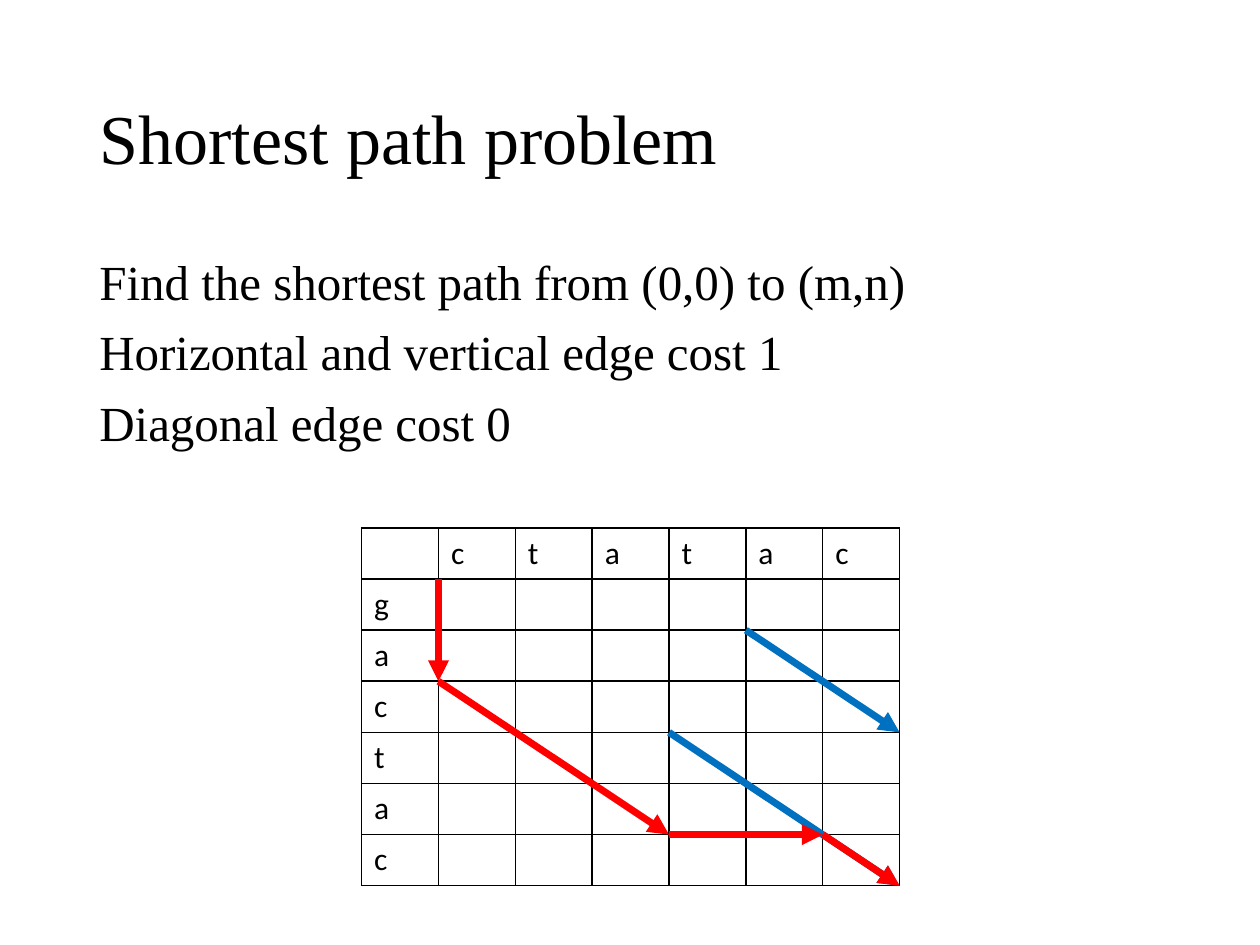
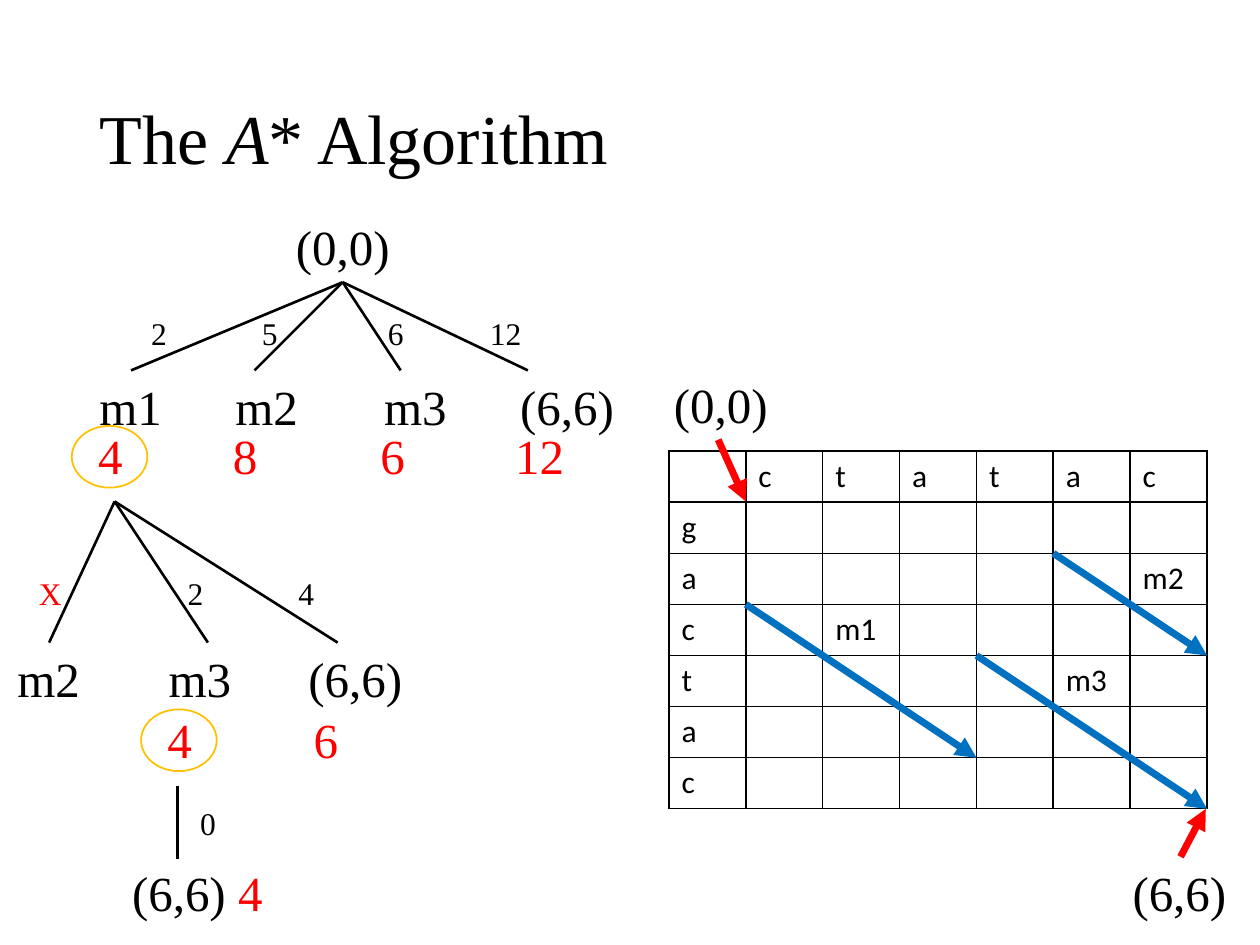
from lxml import etree
from pptx import Presentation
from pptx import util as u
from pptx.dml.color import RGBColor
from pptx.enum import shapes, text
from pptx.oxml import ns

COLORS = {"black": "000000", "white": "FFFFFF", "red": "FF0000",
          "blue": "0070C0", "orange": "FFC000"}
SERIF, SANS = "Times New Roman", "Calibri"
PX = 9144  # EMU in one px, 100 px to the inch

# Alignment grid, shared by both slides
ACROSS, DOWN = "ctatac", "gactac"
GRID_SIZE = len(ACROSS) + 1
GRID_WIDTH, GRID_HEIGHT = 427, 284
MATCHES = {"m1": ((1, 3), (4, 6)), "m2": ((5, 2), (7, 4)), "m3": ((4, 4), (7, 7))}


def px(value):
    return u.Emu(round(value * PX))


def rgb(name):
    return RGBColor.from_string(COLORS[name])


def add_span(para, words, size, color="black", font=SERIF, italic=None):
    span = para.add_run()
    span.text = words
    span.font.name, span.font.size, span.font.italic = font, u.Pt(size), italic
    span.font.color.rgb = rgb(color)


def add_label(page, left, top, *spans, size=28):
    """Add a one-line label; each span is (words, color)."""
    width = 20 + size * sum(len(words) for words, _ in spans)
    box = page.shapes.add_textbox(px(left), px(top), px(width), px(57 if size == 28 else 40))
    box.text_frame.word_wrap = True
    for words, color in spans:
        add_span(box.text_frame.paragraphs[0], words, size, color)


def add_line(page, start, end, color="black", weight=1.5, arrow=False):
    line = page.shapes.add_connector(shapes.MSO_CONNECTOR.STRAIGHT,
                                     *(px(value) for value in (*start, *end)))
    line.line.color.rgb = rgb(color)
    line.line.width = u.Pt(weight)
    if arrow:
        etree.SubElement(line.line._get_or_add_ln(), ns.qn("a:tailEnd"), type="triangle")
    etree.SubElement(line._element.spPr, ns.qn("a:effectLst"))


def add_arrow(page, start, end, color):
    add_line(page, start, end, color, 4, arrow=True)


def add_page(deck, width, *title_spans):
    """Add a title-only page; each title span is (words, italic)."""
    page = deck.slides.add_slide(deck.slide_layouts[5])
    title = page.shapes.title
    title.left, title.top, title.width, title.height = map(px, (69, 40, width, 145))
    title.text_frame.vertical_anchor = text.MSO_ANCHOR.MIDDLE
    para = title.text_frame.paragraphs[0]
    para.alignment, para.line_spacing = text.PP_ALIGN.LEFT, 0.9
    for words, italic in title_spans:
        add_span(para, words, 40, italic=italic)
    return page


def add_borders(cell):
    props = cell._tc.get_or_add_tcPr()
    for side in ("lnL", "lnR", "lnT", "lnB"):
        border = etree.SubElement(props, ns.qn("a:" + side), w=str(u.Pt(1)))
        fill = etree.SubElement(border, ns.qn("a:solidFill"))
        etree.SubElement(fill, ns.qn("a:srgbClr"), val=COLORS["black"])


def grid_node(left, top, corner):
    column, row = corner
    return (left + column * GRID_WIDTH / GRID_SIZE, top + row * GRID_HEIGHT / GRID_SIZE)


def draw_grid(page, left, top, marks, routes):
    """Draw the table; marks fill cells by (row, column), routes join grid corners."""
    table = page.shapes.add_table(GRID_SIZE, GRID_SIZE, px(left), px(top),
                                  px(GRID_WIDTH), px(GRID_HEIGHT)).table
    table.first_row = table.horz_banding = False
    letters = {(0, i): letter for i, letter in enumerate(ACROSS, 1)}
    letters.update({(i, 0): letter for i, letter in enumerate(DOWN, 1)})
    letters.update(marks)
    for row in range(GRID_SIZE):
        for column in range(GRID_SIZE):
            cell = table.cell(row, column)
            add_borders(cell)
            cell.fill.background()
            if (row, column) in letters:
                add_span(cell.text_frame.paragraphs[0], letters[row, column], 18, font=SANS)
    for start, end, color in routes:
        add_arrow(page, grid_node(left, top, start), grid_node(left, top, end), color)


def draw_statement(page, left, top, width, height, lines):
    box = page.shapes.add_textbox(px(left), px(top), px(width), px(height))
    frame = box.text_frame
    frame.word_wrap = True
    for i, words in enumerate(lines):
        para = frame.paragraphs[0] if i == 0 else frame.add_paragraph()
        para.line_spacing = 0.9
        para.space_before = u.Pt(10 if i else 0)
        add_span(para, words, 28)


def draw_level(page, left, top, level):
    """Draw one level of the search tree and ring its cheapest total."""
    for foot in level["feet"]:
        add_line(page, (left + level["apex"], top), (left + foot, top + level["depth"]))
    for x, words, color in level["costs"]:
        add_label(page, left + x, top + level["cost_top"], (words, color), size=18)
    for x, words in level["nodes"]:
        add_label(page, left + x, top + level["depth"], (words, "black"))

    total_top = top + level["total_top"]
    ring = page.shapes.add_shape(shapes.MSO_SHAPE.OVAL, px(left + level["totals"][0][0] - 11),
                                 px(total_top + 5), px(60), px(49))
    ring.shadow.inherit = False
    ring.fill.solid()
    ring.fill.fore_color.rgb = rgb("white")
    ring.line.color.rgb = rgb("orange")
    ring.line.width = u.Pt(1)
    for x, words in level["totals"]:
        add_label(page, left + x, total_top, (words, "red"))


def draw_tree(page, left, top):
    # Root and its moves
    add_label(page, left + 221, top, ("(0,0)", "black"))
    draw_level(page, left + 64, top + 57, {
        "apex": 204, "depth": 70, "cost_top": 20, "total_top": 109,
        "feet": (36, 134, 250, 351),
        "costs": ((42, "2", "black"), (130, "5", "black"),
                  (230, "6", "black"), (311, "12", "black")),
        "nodes": ((1, "m1"), (109, "m2"), (227, "m3"), (335, "(6,6)")),
        "totals": ((0, "4"), (107, "8"), (224, "6"), (331, "12"))})
    # Moves after m1
    draw_level(page, left, top + 231, {
        "apex": 87, "depth": 112, "cost_top": 53, "total_top": 160,
        "feet": (35, 161, 264),
        "costs": ((17, "X", "red"), (135, "2", "black"), (223, "4", "black")),
        "nodes": ((0, "m2"), (120, "m3"), (231, "(6,6)")),
        "totals": ((119, "4"), (235, "6"))})
    # Goal
    add_line(page, (left + 137, top + 457), (left + 137, top + 515))
    add_label(page, left + 145, top + 466, ("0", "black"), size=18)
    add_label(page, left + 91, top + 513, ("(6,6) ", "black"), ("4", "red"))


def build_problem(deck):
    page = add_page(deck, 862, ("Shortest path problem", None))
    draw_statement(page, 69, 200, 862, 476, (
        "Find the shortest path from (0,0) to (m,n)",
        "Horizontal and vertical edge cost 1",
        "Diagonal edge cost 0"))
    draw_grid(page, 287, 419, {}, (
        (*MATCHES["m1"], "red"),
        (*MATCHES["m3"], "blue"),
        (*MATCHES["m2"], "blue"),
        ((6, 6), (7, 7), "red"),
        ((1, 1), (1, 3), "red"),
        ((4, 6), (6, 6), "red")))


def build_algorithm(deck):
    page = add_page(deck, 462, ("The ", None), ("A", True), ("* Algorithm", None))
    draw_grid(page, 531, 358, {(2, 6): "m2", (3, 2): "m1", (4, 5): "m3"},
              [(*ends, "blue") for ends in MATCHES.values()])
    # Start and goal corners
    add_label(page, 525, 292, ("(0,0)", "black"))
    add_arrow(page, (570, 349), (592, 398), "red")
    add_label(page, 889, 680, ("(6,6)", "black"))
    add_arrow(page, (937, 680), (957, 642), "red")
    draw_tree(page, 4, 167)


def main():
    deck = Presentation()
    deck.slide_width, deck.slide_height = px(1000), px(750)
    build_problem(deck)
    build_algorithm(deck)
    deck.save("out.pptx")


if __name__ == "__main__":
    main()
